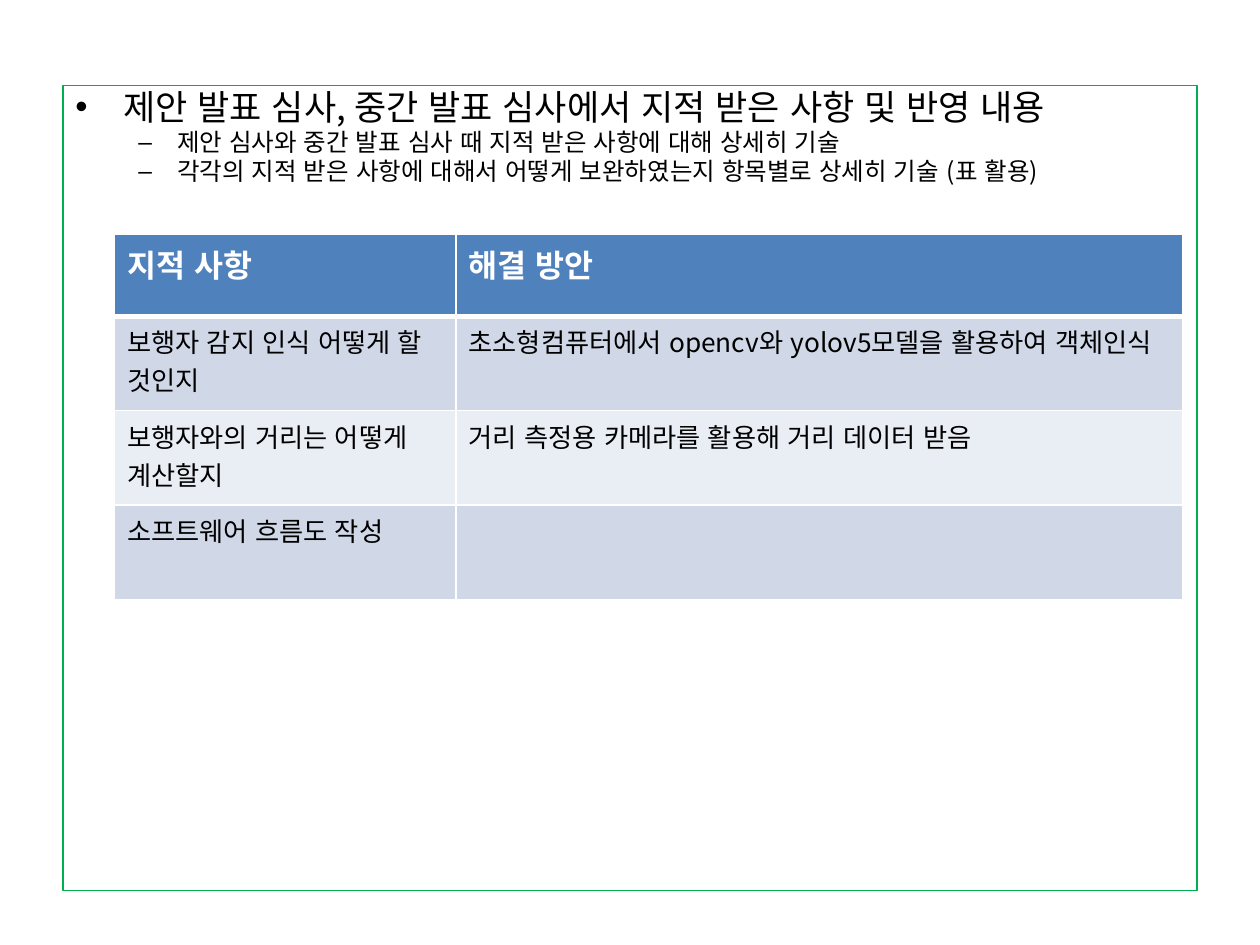
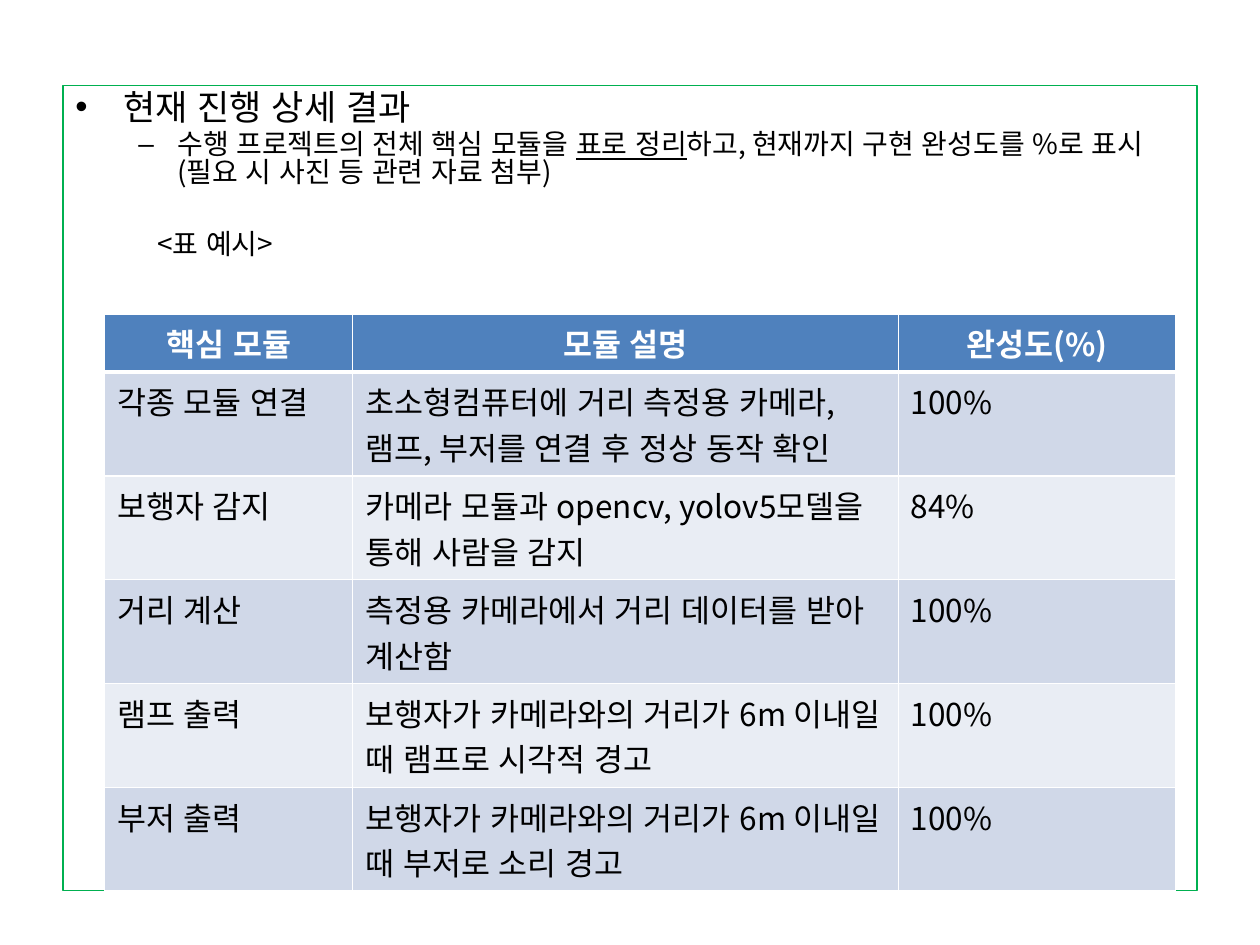
import pptx
import pptx.dml.color
import pptx.enum.lang
import pptx.enum.shapes
import pptx.enum.text
import pptx.oxml
import pptx.oxml.ns
import pptx.util

PX = 9144
FONT = "Noto Sans CJK KR"
COLORS = {
    "frame": "00B050",
    "text": "000000",
    "white": "FFFFFF",
    "header": "4F81BD",
    "odd": "D0D8E8",
    "even": "E9EDF4",
}
LEVELS = {
    "topic": {"left": 38, "hang": 38, "bullet": "•"},
    "detail": {"left": 81, "hang": 31, "bullet": "–"},
    "caption": {"left": 65, "hang": 0, "bullet": None},
}
LINE_SPACING = 0.84
GAP_RATIO = 0.18
ALIGN = pptx.enum.text.PP_ALIGN


def rgb(color):
    return pptx.dml.color.RGBColor.from_string(COLORS[color])


def sub_element(parent, tag, **attributes):
    element = pptx.oxml.parse_xml(f'<{tag} {pptx.oxml.ns.nsdecls("a")}/>')
    for key, value in attributes.items():
        element.set(key, str(value))
    parent.append(element)
    return element


class Report:
    """Builds the report slides in one shared style."""

    def __init__(self, width, height):
        self.deck = pptx.Presentation()
        self.deck.slide_width = width * PX
        self.deck.slide_height = height * PX
        self.slide = None

    def new_slide(self):
        self.slide = self.deck.slides.add_slide(self.deck.slide_layouts[6])

    def run(self, paragraph, text, size, color="text", **extra):
        run = paragraph.add_run()
        run.text = text
        formats = {
            "name": FONT,
            "size": pptx.util.Pt(size),
            "bold": False,
            "language_id": pptx.enum.lang.MSO_LANGUAGE_ID.KOREAN,
            **extra,
        }
        for key, value in formats.items():
            setattr(run.font, key, value)
        run.font.color.rgb = rgb(color)
        sub_element(run.font._element, "a:ea", typeface=FONT)

    def outline(self, paragraphs):
        frame = self.slide.shapes.add_shape(
            pptx.enum.shapes.MSO_SHAPE.RECTANGLE,
            50 * PX, 68 * PX, 900 * PX, 639 * PX)
        frame.shadow.inherit = False
        frame.fill.background()
        frame.line.color.rgb = rgb("frame")
        frame.line.width = pptx.util.Pt(0.75)
        body = frame.text_frame
        body.word_wrap = True
        body.vertical_anchor = pptx.enum.text.MSO_ANCHOR.TOP
        for index, (level, size, parts, *gap) in enumerate(paragraphs):
            paragraph = body.add_paragraph() if index else body.paragraphs[0]
            self.indent(paragraph, **LEVELS[level])
            paragraph.alignment = ALIGN.LEFT
            paragraph.line_spacing = LINE_SPACING
            if index:
                before = gap[0] if gap else size * GAP_RATIO
                paragraph.space_before = pptx.util.Pt(before)
            for text, underline in parts:
                self.run(paragraph, text, size, underline=underline)

    def indent(self, paragraph, left, hang, bullet):
        properties = paragraph._p.get_or_add_pPr()
        properties.set("marL", str(left * PX))
        properties.set("indent", str(-hang * PX))
        if bullet:
            sub_element(properties, "a:buFont", typeface="Arial")
            sub_element(properties, "a:buChar", char=bullet)
        else:
            sub_element(properties, "a:buNone")

    def table(self, left, top, widths, heights, rows, size, header_align):
        grid = self.slide.shapes.add_table(
            len(rows), len(widths), left * PX, top * PX,
            sum(widths) * PX, sum(heights) * PX).table
        for column, width in zip(grid.columns, widths):
            column.width = width * PX
        for index, (texts, height) in enumerate(zip(rows, heights)):
            grid.rows[index].height = height * PX
            for column, text in enumerate(texts):
                self.cell(grid.cell(index, column), text, index, size, header_align)

    def cell(self, cell, text, row, size, header_align):
        is_header = row == 0
        for side in "LRTB":
            thick = (is_header and side == "B") or (row == 1 and side == "T")
            self.border(cell, side, 3 if thick else 1)
        cell.fill.solid()
        cell.fill.fore_color.rgb = rgb(
            "header" if is_header else "odd" if row % 2 else "even")
        paragraph = cell.text_frame.paragraphs[0]
        paragraph.alignment = header_align if is_header else ALIGN.LEFT
        if is_header:
            self.run(paragraph, text, 18, "white", bold=True)
        elif text:
            self.run(paragraph, text, size)

    def border(self, cell, side, width):
        line = sub_element(cell._tc.get_or_add_tcPr(), f"a:ln{side}",
                           w=pptx.util.Pt(width))
        fill = sub_element(line, "a:solidFill")
        sub_element(fill, "a:srgbClr", val=COLORS["white"])


def review_slide(report):
    report.new_slide()
    report.outline([
        ("topic", 20, [("제안 발표 심사, 중간 발표 심사에서 지적 받은 사항 및 반영 내용", False)]),
        ("detail", 14, [("제안 심사와 중간 발표 심사 때 지적 받은 사항에 대해 상세히 기술", False)]),
        ("detail", 14, [("각각의 지적 받은 사항에 대해서 어떻게 보완하였는지 항목별로 상세히 기술 (표 활용)", False)]),
    ])
    remarks = [
        ("지적 사항", "해결 방안"),
        ("보행자 감지 인식 어떻게 할 것인지",
         "초소형컴퓨터에서 opencv와 yolov5모델을 활용하여 객체인식"),
        ("보행자와의 거리는 어떻게 계산할지",
         "거리 측정용 카메라를 활용해 거리 데이터 받음"),
        ("소프트웨어 흐름도 작성", ""),
    ]
    report.table(91, 186, [271, 577], [65] + [75] * 3, remarks, 15, ALIGN.LEFT)


def progress_slide(report):
    report.new_slide()
    report.outline([
        ("topic", 20, [("현재 진행 상세 결과", False)]),
        ("detail", 16, [
            ("수행 프로젝트의 전체 핵심 모듈을 ", False),
            ("표로 정리", True),
            ("하고, 현재까지 구현 완성도를 %로 표시 (필요 시 사진 등 관련 자료 첨부)", False),
        ]),
        ("caption", 16, [("<표 예시>", False)], 25),
    ])
    modules = [
        ("핵심 모듈", "모듈 설명", "완성도(%)"),
        ("각종 모듈 연결",
         "초소형컴퓨터에 거리 측정용 카메라, 램프, 부저를 연결 후 정상 동작 확인", "100%"),
        ("보행자 감지", "카메라 모듈과 opencv, yolov5모델을 통해 사람을 감지", "84%"),
        ("거리 계산", "측정용 카메라에서 거리 데이터를 받아 계산함", "100%"),
        ("램프 출력", "보행자가 카메라와의 거리가 6m 이내일 때 램프로 시각적 경고", "100%"),
        ("부저 출력", "보행자가 카메라와의 거리가 6m 이내일 때 부저로 소리 경고", "100%"),
    ]
    report.table(83, 249, [197, 433, 220], [41] * 6, modules, 18, ALIGN.CENTER)


def main():
    report = Report(1000, 750)
    review_slide(report)
    progress_slide(report)
    report.deck.save("out.pptx")


if __name__ == "__main__":
    main()
